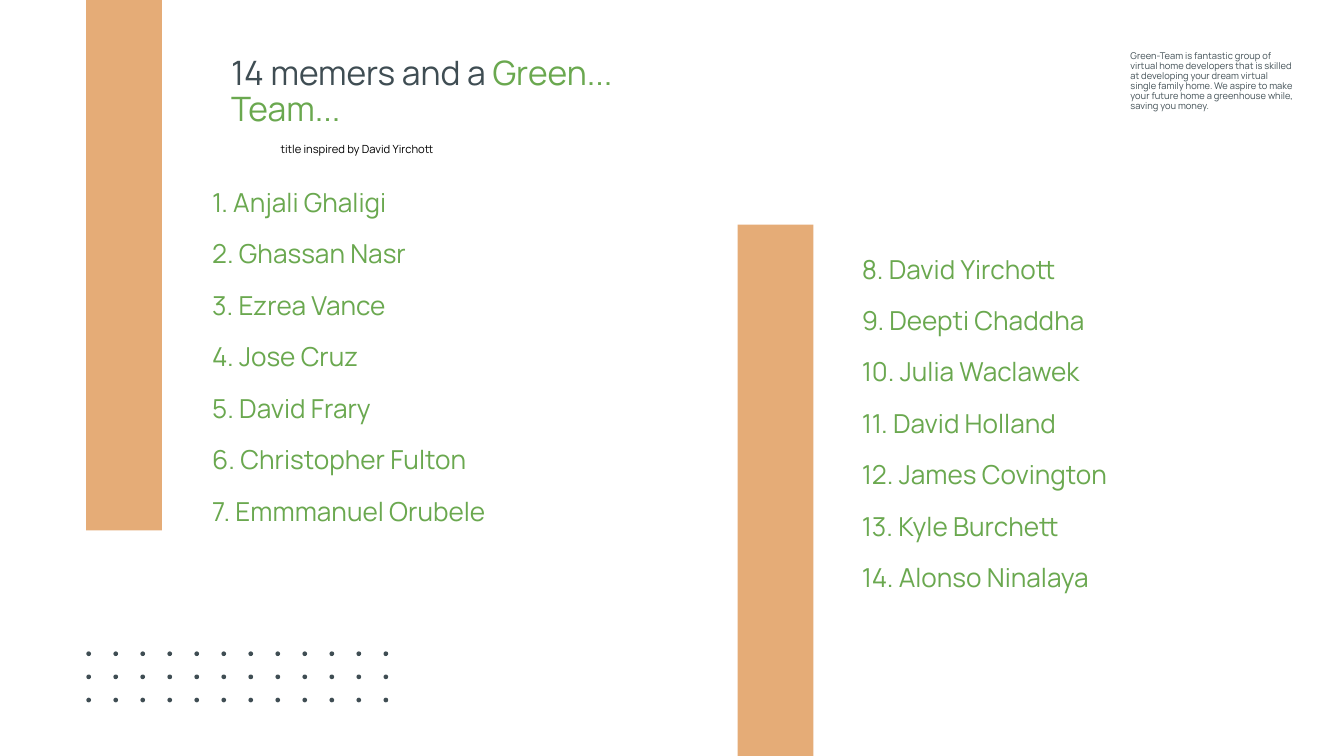
from dataclasses import dataclass

from pptx import Presentation
from pptx import util as u
from pptx.dml.color import RGBColor
from pptx.enum import shapes, text
from pptx.oxml.ns import qn


@dataclass(frozen=True)
class Theme:
    """Colours, font and type sizes in points."""
    font: str = "Manrope"
    slate: str = "3F4D53"
    green: str = "6AA84F"
    sand: str = "E5AC77"
    black: str = "000000"
    white: str = "FFFFFF"
    title: float = 18
    member: float = 14
    credit: float = 6
    about: float = 5


def write(frame, content, size, color, font, align=text.PP_ALIGN.LEFT,
          anchor=text.MSO_ANCHOR.TOP, line=1.0, after=0):
    """Fill a text frame with one paragraph of (words, colour) runs."""
    frame.word_wrap = True
    frame.auto_size = text.MSO_AUTO_SIZE.NONE
    frame.vertical_anchor = anchor
    frame.margin_left = frame.margin_right = u.Pt(7.2)
    frame.margin_top = frame.margin_bottom = u.Pt(7.2)
    paragraph = frame.paragraphs[0]
    props = paragraph._p.get_or_add_pPr()
    props.set("marL", "0")
    props.set("indent", "0")
    props.append(props.makeelement(qn("a:buNone"), {}))
    paragraph.alignment = align
    paragraph.line_spacing = line
    paragraph.space_before = u.Pt(0)
    paragraph.space_after = u.Pt(after)
    runs = [(content, color)] if isinstance(content, str) else content
    for words, tint in runs:
        run = paragraph.add_run()
        run.text = words
        run.font.name = font
        run.font.size = u.Pt(size)
        run.font.color.rgb = RGBColor.from_string(tint)


class TeamSlide:
    """Holds the theme and the current slide."""

    def __init__(self, deck, theme):
        self.theme = theme
        self.slide = deck.slides.add_slide(deck.slide_layouts[1])
        backdrop = self.slide.background.fill
        backdrop.solid()
        backdrop.fore_color.rgb = RGBColor.from_string(theme.white)

    def placeholder(self, index, box, content, size, color, **style):
        """Move a template placeholder and fill it."""
        holder = self.slide.placeholders[index]
        holder.left, holder.top, holder.width, holder.height = map(u.Pt, box)
        write(holder.text_frame, content, size, color, self.theme.font, **style)

    def label(self, box, content, size, color, **style):
        """Add a text box."""
        holder = self.slide.shapes.add_textbox(*map(u.Pt, box))
        write(holder.text_frame, content, size, color, self.theme.font, **style)

    def solid(self, parent, preset, box, color):
        """Add a filled shape without outline or shadow."""
        shape = parent.add_shape(preset, *map(u.Pt, box))
        shape.shadow.inherit = False
        shape.fill.solid()
        shape.fill.fore_color.rgb = RGBColor.from_string(color)
        shape.line.fill.background()

    def bar(self, box):
        """Add a vertical accent bar."""
        self.solid(self.slide.shapes, shapes.MSO_SHAPE.RECTANGLE, box, self.theme.sand)

    def dots(self, left, top, columns, rows, across, down, size):
        """Add a grouped grid of dots."""
        grid = self.slide.shapes.add_group_shape().shapes
        for row in range(rows):
            for column in range(columns):
                box = (left + column * across, top + row * down, size, size)
                self.solid(grid, shapes.MSO_SHAPE.OVAL, box, self.theme.slate)

    def members(self, left, top, names, first, pitch=27.57):
        """Add a numbered column of names."""
        for row, name in enumerate(names):
            self.label((left, top + row * pitch, 246.2, 27.5), f"{first + row}. {name}",
                       self.theme.member, self.theme.green)


def main():
    """Build the team slide."""
    theme = Theme()
    deck = Presentation()
    deck.slide_width, deck.slide_height = u.Pt(720), u.Pt(405)
    team = TeamSlide(deck, theme)

    team.bar((46.2, 0, 40.5, 284.2))
    team.bar((395.2, 120.4, 40.5, 292))
    team.placeholder(0, (116.6, 18, 243.4, 58.3),
                     [("14 memers and a ", theme.slate), ("Green... Team...", theme.green)],
                     theme.title, theme.slate, anchor=text.MSO_ANCHOR.BOTTOM, line=0.9)
    team.dots(46.3, 349, columns=12, rows=3, across=14.47, down=12.4, size=2.5)

    left_names = ["Anjali Ghaligi", "Ghassan Nasr", "Ezrea Vance", "Jose Cruz",
                  "David Frary", "Christopher Fulton", "Emmmanuel Orubele"]
    right_names = ["David Yirchott", "Deepti Chaddha", "Julia Waclawek", "David Holland",
                   "James Covington", "Kyle Burchett", "Alonso Ninalaya"]
    team.members(106.6, 92.6, left_names, first=1)
    team.members(454.6, 128.3, right_names, first=1 + len(left_names))

    team.placeholder(1, (598.4, 20.2, 102.2, 53.3),
                     "Green-Team is fantastic group of virtual home developers that is skilled "
                     "at developing your dream virtual single family home. We aspire to make "
                     "your future home a greenhouse while, saving you money.",
                     theme.about, theme.slate, line=0.9, after=16)
    team.label((140.1, 69.1, 102.2, 19.4), "title inspired by David Yirchott",
               theme.credit, theme.black, align=text.PP_ALIGN.CENTER)
    deck.save("out.pptx")


if __name__ == "__main__":
    main()
